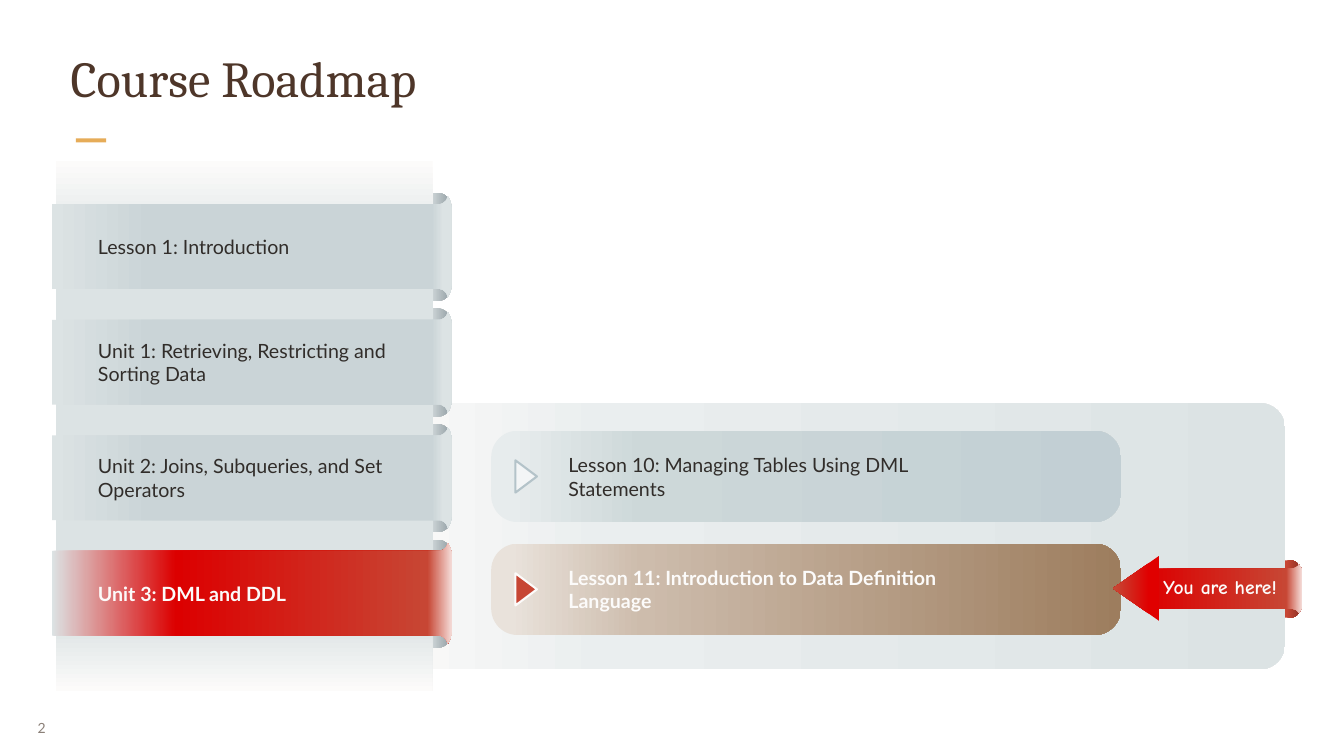
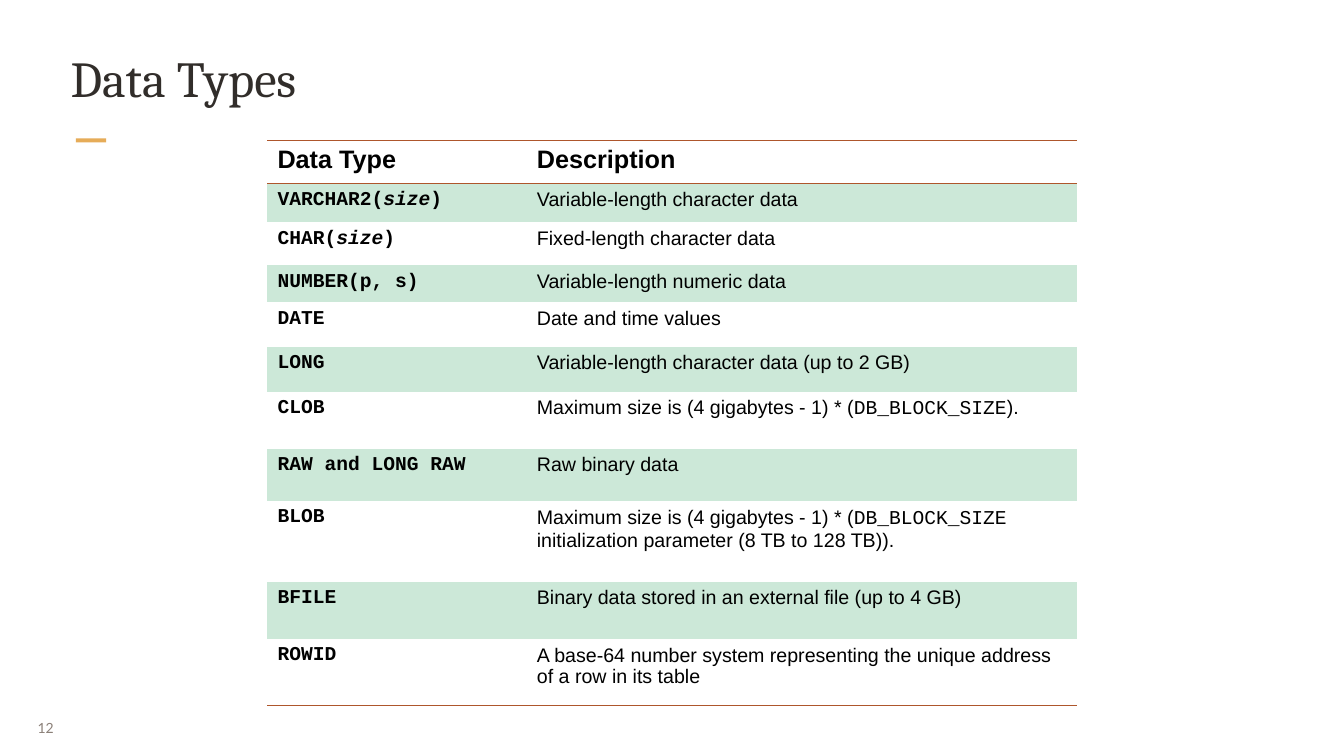
from dataclasses import dataclass
from typing import NamedTuple

from lxml.etree import SubElement
from pptx import Presentation
from pptx.dml.color import RGBColor
from pptx.enum.shapes import MSO_SHAPE as Shape
from pptx.enum.text import MSO_ANCHOR as Anchor, MSO_AUTO_SIZE as AutoSize, PP_ALIGN as Align
from pptx.oxml import parse_xml
from pptx.oxml.ns import nsdecls, qn
from pptx.util import Emu, Pt

EMU_PER_PX = 9144  # 100 px to the inch
NO_STYLE_NO_GRID = "{2D5ABB26-0587-4C30-8999-92F81FD0307C}"
Stops = tuple[tuple[int, str], ...]
Point = tuple[float, float]


@dataclass(frozen=True)
class Theme:
    serif: str = "Cambria"
    sans: str = "Lato"
    hand: str = "Comic Neue"
    table: str = "Arial"
    mono: str = "Courier New"
    title_size: int = 54
    header_size: int = 27
    text_size: int = 21
    number_size: int = 15
    ink: str = "312D2A"
    brown: str = "4E3629"
    muted: str = "8B8078"
    light: str = "FCFBFA"
    black: str = "000000"
    accent: str = "E6AC58"
    red: str = "C74634"
    pale: str = "F3F5F6"
    chevron_line: str = "B4C3C9"
    rule: str = "AE562C"
    band: str = "CCE8D8"
    panel: Stops = ((0, "FCFBFA"), (26, "EAEEEF"), (100, "DCE3E4"))
    backdrop: Stops = ((0, "FCFBFA"), (17, "DCE3E4"), (87, "DCE3E4"), (100, "FCFBFA"))
    curl: Stops = ((77, "DEE4E5"), (99, "96A2A7"))
    unit: Stops = ((0, "DCE3E4"), (25, "CAD4D7"), (95, "CAD4D7"), (98, "DCE3E4"))
    unit_now: Stops = ((0, "DCE3E4"), (31, "DC0000"), (94, "C74634"), (100, "F4DAD6"))
    lesson: Stops = ((3, "E7ECED"), (24, "CDD8D9"), (100, "C2CFD4"))
    lesson_now: Stops = ((3, "E9E2DB"), (24, "CDBCAC"), (100, "9D7D5E"))
    arrow_curl: Stops = ((11, "C74634"), (92, "953427"))
    arrow_tail: Stops = ((0, "DC0000"), (90, "C74634"), (100, "F4DAD6"))
    arrow_head: Stops = ((0, "E00000"), (23, "E00000"), (96, "C74634"))


THEME = Theme()


def px(n: float) -> Emu:
    return Emu(round(n * EMU_PER_PX))


class Box(NamedTuple):
    left: float
    top: float
    width: float
    height: float

    @property
    def emu(self) -> tuple[Emu, ...]:
        return tuple(px(n) for n in self)


class Topic(NamedTuple):
    text: str
    width: int
    height: int
    current: bool = False


class Span(NamedTuple):
    text: str
    mono: bool = False
    italic: bool = False


class TypeRow(NamedTuple):
    height: int
    name: tuple[Span, ...]
    description: tuple[Span, ...]


UNITS = (
    Topic("Lesson 1: Introduction", 399, 45),
    Topic("Unit 1: Retrieving, Restricting and Sorting Data", 481, 81),
    Topic("Unit 2: Joins, Subqueries, and Set Operators", 489, 81),
    Topic("Unit 3: DML and DDL", 363, 45, True),
)
LESSONS = (
    Topic("Lesson 10: Managing Tables Using DML Statements", 670, 81),
    Topic("Lesson 11: Introduction to Data Definition Language", 670, 81, True),
)


def sized(name: str) -> tuple[Span, ...]:
    return Span(f"{name}(", True), Span("size", True, True), Span(")", True)


def code(name: str) -> tuple[Span, ...]:
    return (Span(name, True),)


def plain(text: str) -> tuple[Span, ...]:
    return (Span(text),)


def block_limit(ending: str) -> tuple[Span, ...]:
    return Span("Maximum size is (4 gigabytes - 1) * ("), Span("DB_BLOCK_SIZE", True), Span(ending)


DATA_TYPES = (
    TypeRow(58, sized("VARCHAR2"), plain("Variable-length character data")),
    TypeRow(64, sized("CHAR"), plain("Fixed-length character data")),
    TypeRow(55, code("NUMBER(p, s)"), plain("Variable-length numeric data")),
    TypeRow(66, code("DATE"), plain("Date and time values")),
    TypeRow(67, code("LONG"), plain("Variable-length character data (up to 2 GB)")),
    TypeRow(85, code("CLOB"), block_limit(").")),
    TypeRow(78, code("RAW and LONG RAW"), plain("Raw binary data")),
    TypeRow(120, code("BLOB"), block_limit(" initialization parameter (8 TB to 128 TB)).")),
    TypeRow(85, code("BFILE"), plain("Binary data stored in an external file (up to 4 GB)")),
    TypeRow(99, code("ROWID"),
            plain("A base-64 number system representing the unique address of a row in its table")),
)


def set_font(font, name: str, size: int, color: str, bold: bool = False) -> None:
    font.name, font.size, font.bold = name, Pt(size), bold
    font.color.rgb = RGBColor.from_string(color)


def set_margins(frame, x: int, y: int) -> None:
    frame.margin_left = frame.margin_right = px(x)
    frame.margin_top = frame.margin_bottom = px(y)


def paint(sp, fill: str | Stops, angle: int = 0) -> None:
    """Fill without outline or shadow; gradient angles run clockwise."""
    sp.shadow.inherit = False
    sp.line.fill.background()
    if isinstance(fill, str):
        sp.fill.solid()
        sp.fill.fore_color.rgb = RGBColor.from_string(fill)
        return
    sp.fill.gradient()
    grad = sp._element.spPr.find(qn("a:gradFill"))
    stops = grad.find(qn("a:gsLst"))
    for gs in list(stops):
        stops.remove(gs)
    for position, color in fill:
        gs = SubElement(stops, qn("a:gs"), pos=str(position * 1000))
        SubElement(gs, qn("a:srgbClr"), val=color)
    grad.find(qn("a:lin")).set("ang", str(angle * 60000))


def add_block(shapes, kind: Shape, box: Box, fill: str | Stops, angle: int = 0,
              corner: float | None = None, rotation: int = 0):
    sp = shapes.add_shape(kind, *box.emu)
    paint(sp, fill, angle)
    sp.rotation = rotation
    if corner is not None:
        sp.adjustments[0] = corner
    return sp


def add_label(shapes, box: Box, text: str, color: str, font: str = THEME.sans,
              size: int = THEME.text_size, bold: bool = False,
              anchor: Anchor = Anchor.MIDDLE, align: Align = Align.LEFT):
    tf = shapes.add_textbox(*box.emu).text_frame
    tf.word_wrap, tf.auto_size, tf.vertical_anchor = True, AutoSize.SHAPE_TO_FIT_TEXT, anchor
    p = tf.paragraphs[0]
    p.text, p.alignment = text, align
    set_font(p.font, font, size, color, bold)
    return tf


def add_topic_label(shapes, topic: Topic, left: int, middle: float) -> None:
    box = Box(left, middle - topic.height / 2, topic.width, topic.height)
    add_label(shapes, box, topic.text, THEME.light if topic.current else THEME.ink,
              bold=topic.current)


def bezier(a: Point, b: Point, c: Point, d: Point, steps: int = 8) -> list[Point]:
    def at(t: float) -> Point:
        u = 1 - t
        weights = u ** 3, 3 * u * u * t, 3 * u * t * t, t ** 3
        return tuple(sum(w * q[i] for w, q in zip(weights, (a, b, c, d))) for i in (0, 1))
    return [at(n / steps) for n in range(steps + 1)]


def add_mirrored(shapes, upper: list[Point], middle: float, fill: Stops) -> None:
    """Close an upper outline with its reflection below the middle."""
    lower = [(x, 2 * middle - y) for x, y in reversed(upper)]
    points = [(px(x), px(y)) for x, y in upper + lower]
    builder = shapes.build_freeform(*points[0])
    builder.add_line_segments(points[1:], close=True)
    paint(builder.convert_to_shape(), fill)


def add_ribbon(shapes, box: Box, curl: int, lip: int, fill: Stops) -> None:
    """Flat band whose right end flares into a curl that rises by lip."""
    right = box.left + box.width

    def at(dx: float, dy: float) -> Point:
        return right - dx * curl, box.top + dy * lip

    upper = [(box.left, box.top + lip)]
    upper += bezier(at(1, 1), at(.74, 1), at(.53, .75), at(.37, .4))
    upper += bezier(at(.32, 0), at(.11, .4), at(0, 1), at(0, 1.65))
    add_mirrored(shapes, upper, box.top + box.height / 2, fill)


def add_base_slide(prs, title: str, color: str, number: int):
    s = prs.slides.add_slide(prs.slide_layouts[5])
    sp = s.shapes.title
    sp.left, sp.top, sp.width, sp.height = Box(102, 67, 1796, 128).emu
    tf = sp.text_frame
    tf.auto_size, tf.vertical_anchor = AutoSize.NONE, Anchor.TOP
    set_margins(tf, 3, 3)
    p = tf.paragraphs[0]
    p.text, p.alignment = title, Align.LEFT
    set_font(p.font, THEME.serif, THEME.title_size, color)
    add_block(s.shapes, Shape.RECTANGLE, Box(113, 206, 45, 6), THEME.accent)
    tf = add_label(s.shapes, Box(43, 1054, 65, 58), str(number), THEME.muted,
                   size=THEME.number_size, align=Align.JUSTIFY)
    tf.word_wrap, tf.auto_size = False, AutoSize.NONE
    set_margins(tf, 13, 7)
    return s


def add_lessons(shapes) -> None:
    add_block(shapes, Shape.ROUNDED_RECTANGLE, Box(550, 600, 1362, 396), THEME.panel, corner=.093)
    for i, lesson in enumerate(LESSONS):
        bar = Box(731, 641 + 168 * i, 937, 136)
        add_block(shapes, Shape.ROUNDED_RECTANGLE, bar,
                  THEME.lesson_now if lesson.current else THEME.lesson, corner=.289)
        add_topic_label(shapes, lesson, 836, bar.top + bar.height / 2)
        chevron = add_block(shapes, Shape.ISOSCELES_TRIANGLE, Box(759, bar.top + 52, 48, 32),
                            THEME.red if lesson.current else THEME.pale, rotation=90)
        chevron.line.color.rgb = RGBColor.from_string(
            THEME.light if lesson.current else THEME.chevron_line)
        chevron.line.width = Pt(2.25)


def add_here_arrow(shapes) -> None:
    group = shapes.add_group_shape().shapes
    corner = bezier((1921, 834), (1929, 834), (1935, 841), (1935, 849))
    add_mirrored(group, [(1912, 834)] + corner, 876.5, THEME.arrow_curl)
    add_ribbon(group, Box(1707, 840, 230, 72), 15, 6, THEME.arrow_tail)
    add_block(group, Shape.ISOSCELES_TRIANGLE, Box(1642, 841, 97, 69), THEME.arrow_head,
              angle=270, rotation=270)
    add_label(group, Box(1707, 851, 217, 45), "You are here!", THEME.light, THEME.hand,
              bold=True, anchor=Anchor.TOP, align=Align.CENTER)


def add_units(shapes) -> None:
    ribbons = [Box(77, 292 + 172 * i, 595, 150) for i in range(len(UNITS))]
    for ribbon in ribbons:
        add_block(shapes, Shape.ROUNDED_RECTANGLE, Box(513, ribbon.top - 5, 158, 161),
                  THEME.curl, corner=.126)
    add_block(shapes, Shape.RECTANGLE, Box(83, 240, 561, 788), THEME.backdrop, angle=90)
    for unit, ribbon in zip(UNITS, ribbons):
        add_ribbon(shapes, ribbon, 19, 12, THEME.unit_now if unit.current else THEME.unit)
        add_topic_label(shapes, unit, 136, ribbon.top + ribbon.height / 2)


def add_rules(cell, edges: tuple[str, ...]) -> None:
    tc_pr = cell._tc.get_or_add_tcPr()
    for i, edge in enumerate(edges):
        tc_pr.insert(i, parse_xml(
            f'<a:{edge} {nsdecls("a")} w="12700"><a:solidFill>'
            f'<a:srgbClr val="{THEME.rule}"/></a:solidFill></a:{edge}>'))


def fill_cell(cell, spans: tuple[Span, ...], size: int, bold: bool, banded: bool) -> None:
    set_margins(cell, 15, 8)
    if banded:
        cell.fill.solid()
        cell.fill.fore_color.rgb = RGBColor.from_string(THEME.band)
    else:
        cell.fill.background()
    p = cell.text_frame.paragraphs[0]
    set_font(p.font, THEME.mono if spans[0].mono else THEME.table, size, THEME.black, bold)
    for span in spans:
        r = p.add_run()
        r.text = span.text
        if span.mono != spans[0].mono:
            r.font.name = THEME.mono if span.mono else THEME.table
        if span.italic:
            r.font.italic = True


def add_type_table(shapes) -> None:
    rows = (TypeRow(64, plain("Data Type"), plain("Description")),) + DATA_TYPES
    table = shapes.add_table(len(rows), 2, *Box(398, 209, 1205, 841).emu).table
    table.first_row = table.horz_banding = False
    table._tbl.tblPr.find(qn("a:tableStyleId")).text = NO_STYLE_NO_GRID
    for column, width in zip(table.columns, (386, 819)):
        column.width = px(width)
    for i, row in enumerate(rows):
        table.rows[i].height = px(row.height)
        header = i == 0
        for j, spans in enumerate((row.name, row.description)):
            cell = table.cell(i, j)
            fill_cell(cell, spans, THEME.header_size if header else THEME.text_size,
                      bold=header or j == 0, banded=i % 2 == 1)
            if header:
                add_rules(cell, ("lnT", "lnB"))
            elif i == len(rows) - 1:
                add_rules(cell, ("lnB",))


def main() -> None:
    prs = Presentation()
    prs.slide_width, prs.slide_height = px(2000), px(1125)
    roadmap = add_base_slide(prs, "Course Roadmap", THEME.brown, 2).shapes
    add_lessons(roadmap)
    add_here_arrow(roadmap)
    add_units(roadmap)
    add_type_table(add_base_slide(prs, "Data Types", THEME.ink, 12).shapes)
    prs.save("out.pptx")


if __name__ == "__main__":
    main()
